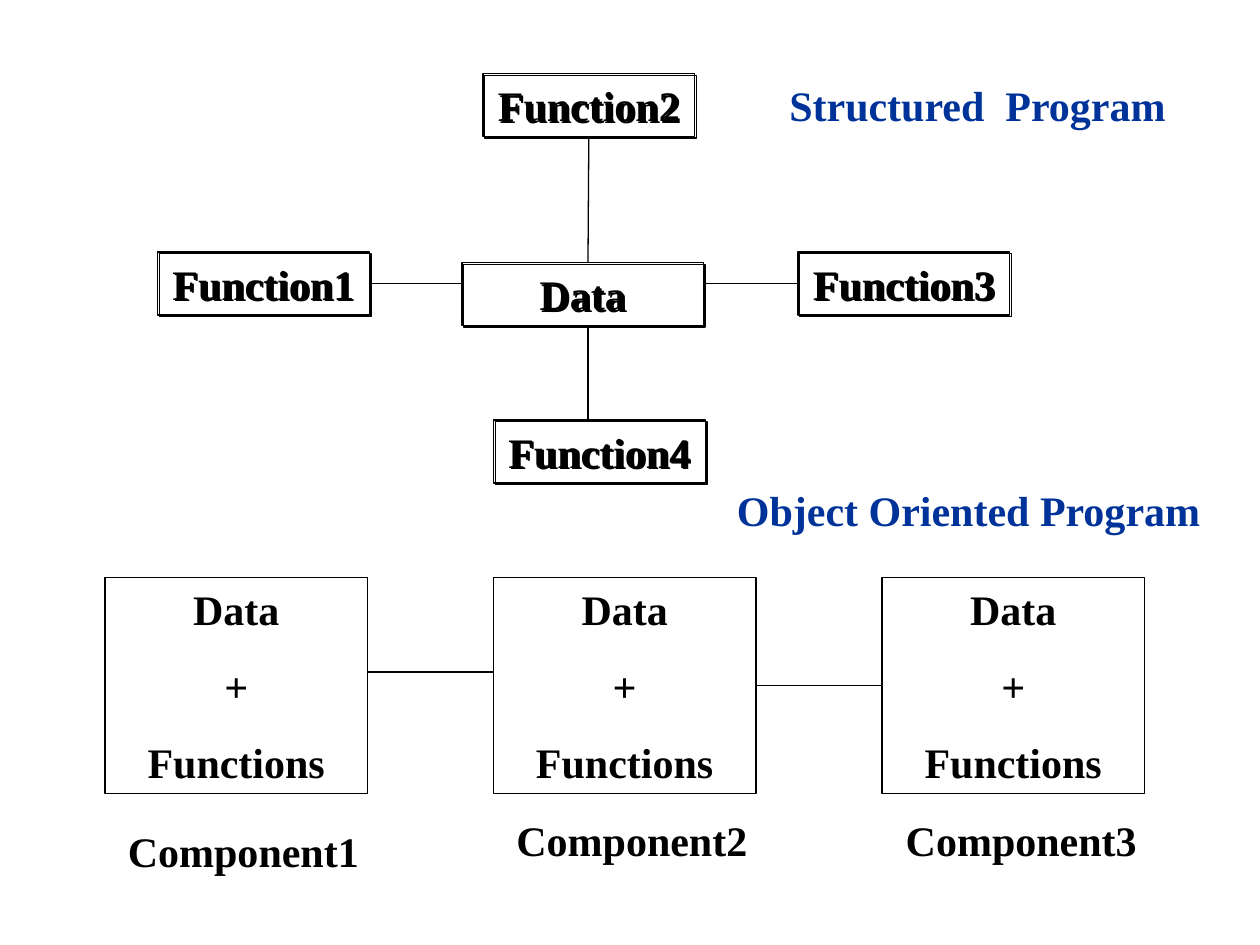
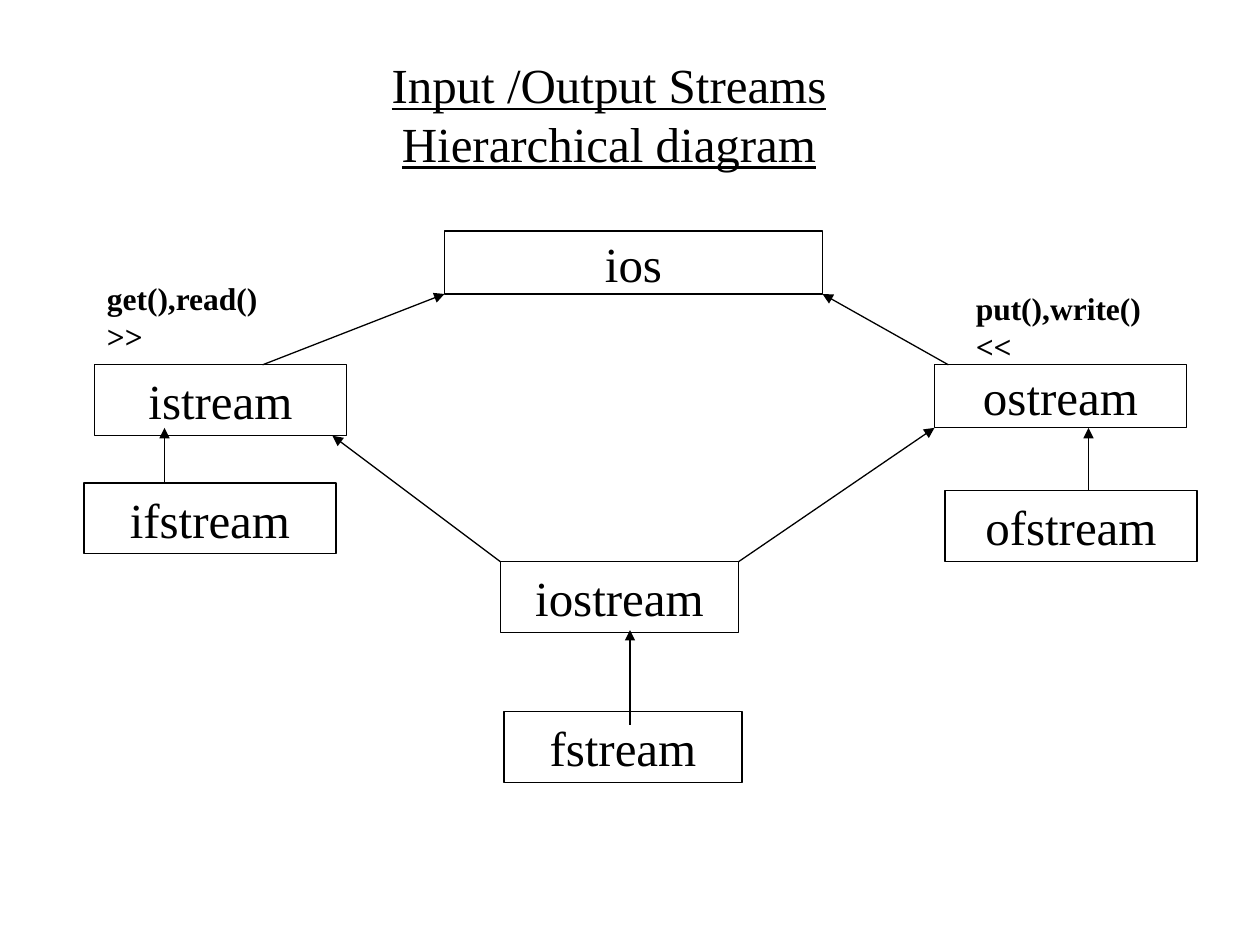
import dataclasses

import lxml.etree
import pptx
import pptx.dml.color
import pptx.enum.shapes
import pptx.enum.text
import pptx.oxml.ns
import pptx.util

Pt = pptx.util.Pt
qn = pptx.oxml.ns.qn
TOP, LEFT, BOTTOM, RIGHT = range(4)


@dataclasses.dataclass(frozen=True)
class Theme:
    font: str = "Times New Roman"
    ink: pptx.dml.color.RGBColor = pptx.dml.color.RGBColor(0, 0, 0)
    heading: pptx.dml.color.RGBColor = pptx.dml.color.RGBColor(0x00, 0x33, 0x99)
    paper: pptx.dml.color.RGBColor = pptx.dml.color.RGBColor(255, 255, 255)
    stroke: float = 0.75
    note_size: int = 18
    label_size: int = 24
    class_size: int = 28


theme = Theme()


def add_box(page, frame, lines, size, outlined=True, filled=False, wrap=True, grow=True,
            bold=False, underline=False, centered=True, color=theme.ink, gap=0):
    """Add a rectangle or plain text box; gap is the space between its lines."""
    frame = [Pt(length) for length in frame]
    if outlined:
        box = page.shapes.add_shape(pptx.enum.shapes.MSO_SHAPE.RECTANGLE, *frame)
        box.shadow.inherit = False
        box.line.color.rgb = theme.ink
        box.line.width = Pt(theme.stroke)
        if filled:
            box.fill.solid()
            box.fill.fore_color.rgb = theme.paper
        else:
            box.fill.background()
    else:
        box = page.shapes.add_textbox(*frame)
    text = box.text_frame
    text.word_wrap = wrap
    fit = pptx.enum.text.MSO_AUTO_SIZE
    text.auto_size = fit.SHAPE_TO_FIT_TEXT if grow else fit.NONE
    anchor = pptx.enum.text.MSO_ANCHOR
    text.vertical_anchor = anchor.MIDDLE if filled else anchor.TOP
    align = pptx.enum.text.PP_ALIGN
    for index, line in enumerate(lines):
        para = text.add_paragraph() if index else text.paragraphs[0]
        para.alignment = align.CENTER if centered else align.LEFT
        if index and gap:
            para.space_before = Pt(gap)
        span = para.add_run()
        span.text = line
        span.font.name = theme.font
        span.font.size = Pt(size)
        span.font.bold = bold
        span.font.underline = underline
        span.font.color.rgb = color
    return box


def add_line(page, start, end, arrow=False):
    line = page.shapes.add_connector(
        pptx.enum.shapes.MSO_CONNECTOR.STRAIGHT, *[Pt(length) for length in (*start, *end)])
    line.line.color.rgb = theme.ink
    line.line.width = Pt(theme.stroke)
    if arrow:
        lxml.etree.SubElement(line.line._get_or_add_ln(), qn("a:tailEnd"), type="triangle")
    lxml.etree.SubElement(line._element.spPr, qn("a:effectLst"))
    return line


deck = pptx.Presentation()
deck.slide_width, deck.slide_height = Pt(720), Pt(540)
blank = deck.slide_layouts[6]

# Slide 1: structured and object oriented programs
page = deck.slides.add_slide(blank)
modules = {}
for name, left, top, width in [
    ("Data", 264, 150, 138),
    ("Function4", 282, 240, 121),
    ("Function1", 90, 144, 121),
    ("Function2", 276, 42, 121),
    ("Function3", 456, 144, 121),
]:
    box = add_box(page, (left, top, width, 36), [name], theme.label_size, bold=True)
    shadow = lxml.etree.SubElement(
        box._element.spPr.find(qn("a:effectLst")), qn("a:outerShdw"),
        blurRad="0", dist=str(Pt(1.4)), dir="2700000", algn="ctr", rotWithShape="0")
    lxml.etree.SubElement(shadow, qn("a:srgbClr"), val=str(theme.ink))
    modules[name] = box

for name, side, start, end in [
    ("Function1", RIGHT, (211, 162), (264, 162)),
    ("Function2", BOTTOM, (336, 78), (336, 150)),
    ("Function3", LEFT, (456, 162), (402, 162)),
]:
    add_line(page, start, end).begin_connect(modules[name], side)
add_line(page, (336, 240), (336, 186))

components = [
    add_box(page, (60 + 222 * column, 330, 150, 123.6), ["Data", "+", "Functions"],
            theme.label_size, bold=True, gap=15)
    for column in range(3)
]
add_line(page, (210, 384), (282, 384))
link = add_line(page, (432, 391.8), (504, 391.8))
link.begin_connect(components[1], RIGHT)
link.end_connect(components[2], LEFT)

for label, left, top, width, color in [
    ("Structured  Program", 444, 42, 230.4, theme.heading),
    ("Object Oriented Program", 414, 273.6, 279.4, theme.heading),
    ("Component1", 66, 468, 146.2, theme.ink),
    ("Component2", 288, 462, 146.2, theme.ink),
    ("Component3", 510.5, 462, 146.2, theme.ink),
]:
    add_box(page, (left, top, width, 36), [label], theme.label_size, outlined=False,
            wrap=False, bold=True, centered=False, color=color)

# Slide 2: stream class hierarchy
page = deck.slides.add_slide(blank)
for name, left, top, width, height in [
    ("ios", 254, 132, 216, 36),
    ("istream", 54, 208.5, 144, 40.5),
    ("ostream", 534, 208.5, 144, 36),
    ("ifstream", 48, 276, 144, 40.5),
    ("ofstream", 540, 280.5, 144, 40.5),
    ("fstream", 288, 406.5, 136, 40.5),
    ("iostream", 286, 321, 136, 40.5),
]:
    add_box(page, (left, top, width, height), [name], theme.class_size,
            filled=True, wrap=False, grow=False)

for child, parent in [
    ((622, 280.5), (622, 244.5)),
    ((150, 208.5), (254, 168)),
    ((286, 321), (190, 249)),
    ((422, 321), (534, 244.5)),
    ((542, 208.5), (470, 168)),
    ((94, 276), (94, 244.5)),
    ((360, 414), (360, 360)),
]:
    add_line(page, child, parent, arrow=True)

add_box(page, (198, 27.6, 300, 74.4), ["Input /Output Streams", "Hierarchical diagram"],
        theme.class_size, outlined=False, underline=True)
for left, top, width, operations in [
    (54, 156, 101, ["get(),read()", ">>"]),
    (550.5, 161.5, 109, ["put(),write()", "<<"]),
]:
    add_box(page, (left, top, width, 50.4), operations, theme.note_size, outlined=False,
            wrap=False, bold=True, centered=False)

deck.save("out.pptx")
